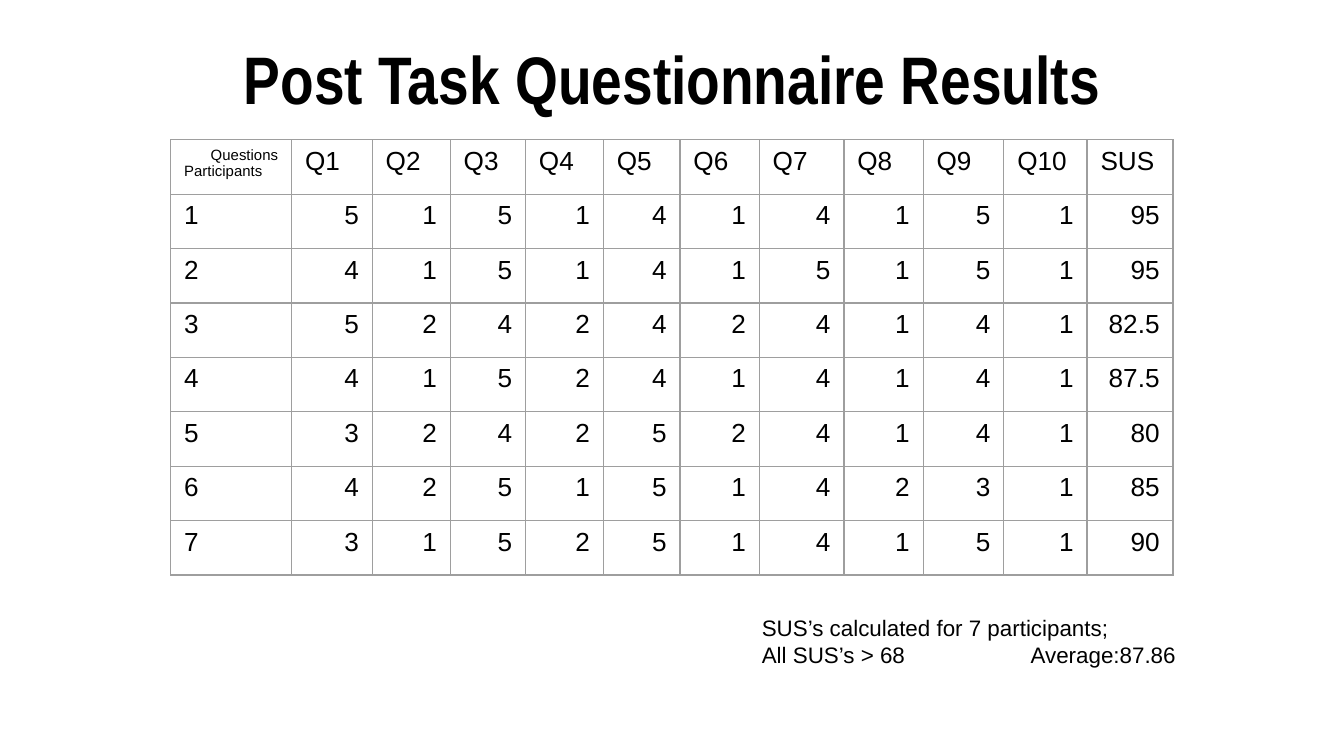
"""Build the slide of post-task questionnaire results."""
from dataclasses import dataclass

from lxml.etree import SubElement
from pptx import Presentation
from pptx.dml.color import RGBColor
from pptx.enum.text import MSO_ANCHOR as Anchor, PP_ALIGN as Align
from pptx.oxml.ns import qn
from pptx.util import Inches, Pt

TITLE = "Post Task Questionnaire Results"
CORNER = [("Questions", Align.RIGHT), ("Participants", Align.LEFT)]
HEADINGS = [f"Q{number}" for number in range(1, 11)] + ["SUS"]
SCORES = [
    (5, 1, 5, 1, 4, 1, 4, 1, 5, 1, 95),
    (4, 1, 5, 1, 4, 1, 5, 1, 5, 1, 95),
    (5, 2, 4, 2, 4, 2, 4, 1, 4, 1, 82.5),
    (4, 1, 5, 2, 4, 1, 4, 1, 4, 1, 87.5),
    (3, 2, 4, 2, 5, 2, 4, 1, 4, 1, 80),
    (4, 2, 5, 1, 5, 1, 4, 2, 3, 1, 85),
    (3, 1, 5, 2, 5, 1, 4, 1, 5, 1, 90),
]
SUMMARY = ["SUS’s calculated for 7 participants;", "All SUS’s > 68\tAverage:87.86"]

SLIDE = (10, 10 * 9 / 16)
TITLE_AREA = (0.34, 0.12, 9.32, 0.92)
TABLE_AREA = (1.27, 1.04, 7.46, 3.24)
SUMMARY_AREA = (5.57, 4.47, 3.73, 0.4)
COLUMNS = [0.9, 0.6, 0.58, 0.56, 0.58, 0.57, 0.59, 0.63, 0.59, 0.6, 0.62, 0.64]
BOX_INSET = 0.1
CELL_INSETS = (0.1, 0.05)
AVERAGE_TAB = 2


@dataclass(frozen=True)
class Theme:
    title_font: str = "Arial Narrow"
    body_font: str = "Arial"
    ink: str = "000000"
    rule: str = "9E9E9E"
    rule_width: float = 0.75
    title_size: int = 36
    cell_size: int = 14
    summary_size: int = 12
    corner_size: int = 8


THEME = Theme()


def write(frame, lines, size, font=THEME.body_font, bold=False):
    for index, (text, align) in enumerate(lines):
        para = frame.paragraphs[0] if index == 0 else frame.add_paragraph()
        para.alignment = align
        span = para.add_run()
        span.text = text
        span.font.name, span.font.size, span.font.bold = font, Pt(size), bold
        span.font.color.rgb = RGBColor.from_string(THEME.ink)


def add_box(page, area, anchor):
    frame = page.shapes.add_textbox(*map(Inches, area)).text_frame
    frame.word_wrap = True
    frame.vertical_anchor = anchor
    frame.margin_left = frame.margin_right = Inches(BOX_INSET)
    frame.margin_top = frame.margin_bottom = Inches(BOX_INSET)
    return frame


def set_tab(para, position):
    stops = SubElement(para._p.get_or_add_pPr(), qn("a:tabLst"))
    SubElement(stops, qn("a:tab"), pos=str(Inches(position)), algn="l")


def outline(cell):
    properties = cell._tc.get_or_add_tcPr()
    for position, side in enumerate(("lnL", "lnR", "lnT", "lnB")):
        line = SubElement(properties, qn(f"a:{side}"), w=str(Pt(THEME.rule_width)))
        fill = SubElement(line, qn("a:solidFill"))
        SubElement(fill, qn("a:srgbClr"), val=THEME.rule)
        properties.insert(position, line)


def add_results(page):
    header = [CORNER] + [[(heading, Align.LEFT)] for heading in HEADINGS]
    rows = [header] + [
        [[(str(number), Align.LEFT)]] + [[(str(score), Align.RIGHT)] for score in scores]
        for number, scores in enumerate(SCORES, 1)
    ]
    table = page.shapes.add_table(len(rows), len(COLUMNS), *map(Inches, TABLE_AREA)).table
    table.first_row = table.horz_banding = False
    for column, width in zip(table.columns, COLUMNS):
        column.width = Inches(width)
    for row, contents in zip(table.rows, rows):
        row.height = Inches(TABLE_AREA[3] / len(rows))
        for cell, lines in zip(row.cells, contents):
            cell.margin_left = cell.margin_right = Inches(CELL_INSETS[0])
            cell.margin_top = cell.margin_bottom = Inches(CELL_INSETS[1])
            cell.fill.background()
            outline(cell)
            size = THEME.corner_size if lines is CORNER else THEME.cell_size
            write(cell.text_frame, lines, size)


def main():
    deck = Presentation()
    deck.slide_width, deck.slide_height = map(Inches, SLIDE)
    page = deck.slides.add_slide(deck.slide_layouts[6])
    title = add_box(page, TITLE_AREA, Anchor.MIDDLE)
    write(title, [(TITLE, Align.CENTER)], THEME.title_size, THEME.title_font, True)
    add_results(page)
    summary = add_box(page, SUMMARY_AREA, Anchor.TOP)
    write(summary, [(line, Align.LEFT) for line in SUMMARY], THEME.summary_size)
    set_tab(summary.paragraphs[-1], AVERAGE_TAB)
    deck.save("out.pptx")


if __name__ == "__main__":
    main()
